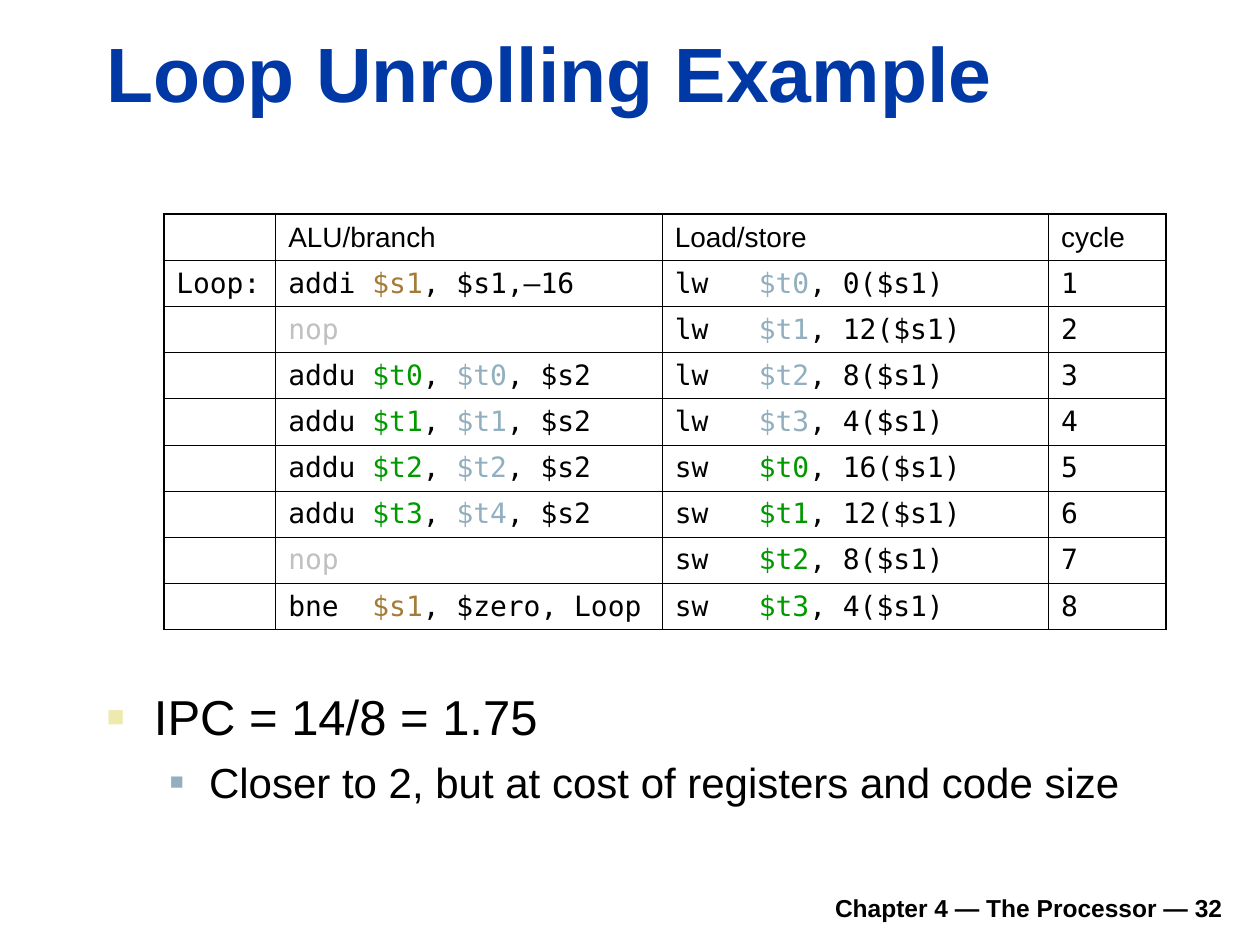
from pptx import Presentation
from pptx.dml.color import RGBColor
from pptx.enum.text import MSO_ANCHOR as Anchor, PP_ALIGN as Align
from pptx.oxml import parse_xml
from pptx.oxml.ns import nsdecls
from pptx.util import Cm, Pt

BLACK, BLUE, GREY = "000000", "0039A6", "C0C0C0"
BROWN, STEEL, GREEN, CREAM = "A47B38", "91AFBF", "009900", "ECEAAC"
SANS, MONO = "Arial", "DejaVu Sans Mono"


def add_run(para, text, size, color=BLACK, face=SANS, bold=False):
    run = para.add_run()
    run.text = text
    font = run.font
    font.size, font.name, font.bold = Pt(size), face, bold
    font.color.rgb = RGBColor.from_string(color)


def add_xml(parent, tag, attrs, inner=""):
    parent.append(parse_xml(f"<a:{tag} {nsdecls('a')} {attrs}>{inner}</a:{tag}>"))


prs = Presentation()
prs.slide_width, prs.slide_height = Cm(25.4), Cm(19.05)
slide = prs.slides.add_slide(prs.slide_layouts[1])
title, body = slide.placeholders

# Title
title.left, title.top, title.width, title.height = Cm(1.9), Cm(0.41), Cm(22.94), Cm(2.1)
title.text_frame.vertical_anchor = Anchor.BOTTOM
para = title.text_frame.paragraphs[0]
para.alignment = Align.LEFT
add_run(para, "Loop Unrolling Example", 44, BLUE, bold=True)

# Bullet list: text, level, size, left margin, hang, bullet colour, bullet percent, space before
body.left, body.top, body.width, body.height = Cm(1.9), Cm(13.72), Cm(22.96), Cm(3.73)
points = [
    ("IPC = 14/8 = 1.75", 0, 28, 0.95, 0.95, CREAM, 60, 0),
    ("Closer to 2, but at cost of registers and code size", 1, 24, 2.06, 0.79, STEEL, 55, 6),
]
frame = body.text_frame
for i, (text, level, size, left, hang, color, scale, gap) in enumerate(points):
    para = frame.add_paragraph() if i else frame.paragraphs[0]
    para.level = level
    props = para._p.get_or_add_pPr()
    props.set("marL", str(Cm(left)))
    props.set("indent", str(-Cm(hang)))
    add_xml(props, "buClr", "", f'<a:srgbClr val="{color}"/>')
    add_xml(props, "buSzPct", f'val="{scale * 1000}"')
    add_xml(props, "buFont", f'typeface="{SANS}"')
    add_xml(props, "buChar", 'char="■"')
    para.space_before = Pt(gap)
    add_run(para, text, size)

# Schedule: ALU/branch runs, then load/store opcode, register, colour and address
nop = [("nop", GREY)]
adds = [
    [("addu ", BLACK), (f"$t{i}", GREEN), (", ", BLACK), (source, STEEL), (", $s2", BLACK)]
    for i, source in enumerate(["$t0", "$t1", "$t2", "$t4"])
]
first = [("addi ", BLACK), ("$s1", BROWN), (", $s1,–16", BLACK)]
last = [("bne  ", BLACK), ("$s1", BROWN), (", $zero, Loop", BLACK)]
alu = [first, nop, *adds, nop, last]
memory = [
    [(f"{code}   ", BLACK), (f"$t{i}", color), (f", {offset}($s1)", BLACK)]
    for code, color, offsets in [("lw", STEEL, (0, 12, 8, 4)), ("sw", GREEN, (16, 12, 8, 4))]
    for i, offset in enumerate(offsets)
]
rows = [[[], [("ALU/branch", BLACK)], [("Load/store", BLACK)], [("cycle", BLACK)]]]
for i, (left, right) in enumerate(zip(alu, memory), 1):
    label = [("Loop:", BLACK)] if i == 1 else []
    rows.append([label, left, right, [(str(i), BLACK)]])

# Table
widths = [2.26, 7.79, 7.79, 2.36]
high = 0.93
count = len(rows)
table = slide.shapes.add_table(
    count, 4, Cm(3.3), Cm(4.32), Cm(sum(widths)), Cm(high * count)
).table
table.first_row = table.horz_banding = False
for col, width in zip(table.columns, widths):
    col.width = Cm(width)
for r, row in enumerate(rows):
    table.rows[r].height = Cm(high)
    for c, runs in enumerate(row):
        cell = table.cell(r, c)
        cell.vertical_anchor = Anchor.MIDDLE
        if not runs:
            cell.margin_top = cell.margin_bottom = 0
        for text, color in runs:
            add_run(cell.text_frame.paragraphs[0], text, 16, color, MONO if r else SANS)
        # Heavy outer frame, medium rule under the header, thin lines inside
        lines = {
            "lnL": 0.45 if c else 1.08,
            "lnR": 1.08 if c == 3 else 0.45,
            "lnT": {0: 1.08, 1: 0.75}.get(r, 0.45),
            "lnB": {0: 0.75, count - 1: 1.08}.get(r, 0.45),
        }
        props = cell._tc.get_or_add_tcPr()
        for tag, weight in lines.items():
            add_xml(props, tag, f'w="{Pt(weight)}"',
                    f'<a:solidFill><a:srgbClr val="{BLACK}"/></a:solidFill>')
        cell.fill.background()

# Footer
foot = slide.shapes.add_textbox(Cm(4.7), Cm(17.73), Cm(20.2), Cm(0.99)).text_frame
foot.word_wrap = True
foot.vertical_anchor = Anchor.BOTTOM
para = foot.paragraphs[0]
para.alignment = Align.RIGHT
add_run(para, "Chapter 4 — The Processor — 32", 14, bold=True)

prs.save("out.pptx")
